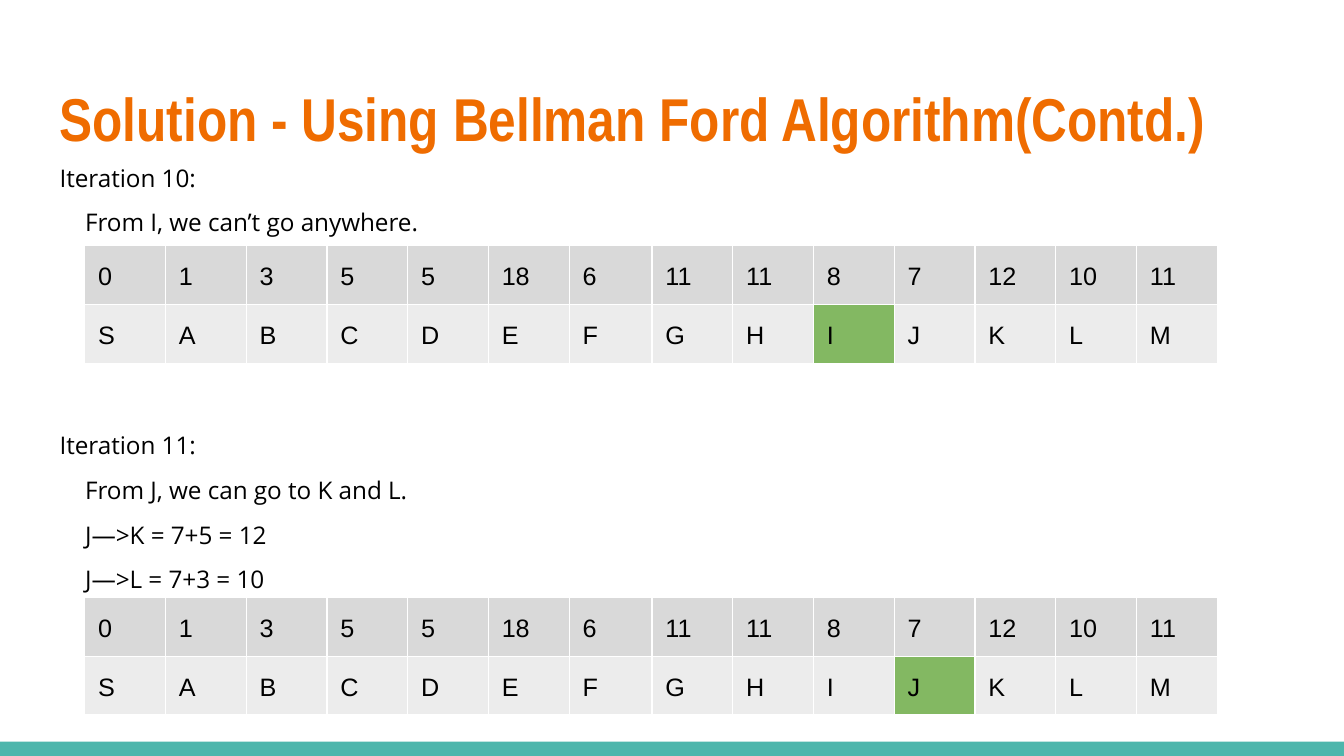
from dataclasses import dataclass
from typing import NamedTuple

from lxml import etree
from pptx import Presentation
from pptx.dml.color import RGBColor
from pptx.enum.shapes import MSO_SHAPE
from pptx.enum.text import MSO_ANCHOR
from pptx.oxml.ns import qn
from pptx.slide import Slide
from pptx.util import Emu, Inches, Pt

RECTANGLE = MSO_SHAPE.RECTANGLE
TOP = MSO_ANCHOR.TOP
MIDDLE = MSO_ANCHOR.MIDDLE

SLIDE_WIDTH = Inches(10)
SLIDE_HEIGHT = Emu(SLIDE_WIDTH * 9 // 16)
INSET = Inches(0.1)
CELL_BOTTOM_INSET = Inches(0.08)
INDENT = Inches(0.19)


@dataclass(frozen=True)
class Theme:
    title_font: str = "Arial Narrow"
    body_font: str = "Open Sans"
    table_font: str = "Arial"
    title_size: float = 32.4
    body_size: float = 13
    table_size: float = 13.5
    title_color: str = "EF6C00"
    text_color: str = "000000"
    band: str = "4DB6AC"
    distance_fill: str = "D9D9D9"
    vertex_fill: str = "ECECEC"
    current_fill: str = "83B862"
    border: str = "FFFFFF"


class Area(NamedTuple):
    """Percentages of the slide's width and height."""
    left: float
    top: float
    width: float
    height: float

    def lengths(self) -> tuple[Emu, ...]:
        sides = (SLIDE_WIDTH, SLIDE_HEIGHT) * 2
        return tuple(Emu(round(side * share / 100)) for side, share in zip(sides, self))


class Line(NamedTuple):
    text: str
    indented: bool = True
    space_before: float = 6


class DistanceTable(NamedTuple):
    top: float
    current: str


THEME = Theme()
TITLE_AREA = Area(3.45, 8.7, 93.2, 13.7)
BODY_AREA = Area(3.45, 19.2, 93.2, 75.9)
BAND_AREA = Area(0, 98.1, 100, 1.9)
TABLE_LEFT, TABLE_WIDTH, TABLE_HEIGHT = 6.3, 84.3, 15.47
COLUMN_SHARE = 6.01
WIDE_COLUMN, WIDE_COLUMN_SHARE = 6, 6.17

TITLE = [Line("Solution - Using Bellman Ford Algorithm(Contd.)", False, 0)]
STEPS = [
    Line("Iteration 10:", False, 0),
    Line("From I, we can’t go anywhere."),
    Line("Iteration 11:", False, 101.4),
    Line("From J, we can go to K and L."),
    Line("J—>K = 7+5 = 12"),
    Line("J—>L = 7+3 = 10"),
]
DISTANCES = "0 1 3 5 5 18 6 11 11 8 7 12 10 11".split()
VERTICES = list("SABCDEFGHIJKLM")
TABLES = [DistanceTable(32.45, "I"), DistanceTable(79, "J")]


def write_paragraph(para, text: str, *, font: str, size: float, color: str,
                    bold: bool = False, spacing: float = 1, before: float = 0) -> None:
    para.line_spacing = spacing
    para.space_before = Pt(before)
    span = para.add_run()
    span.text = text
    span.font.name = font
    span.font.size = Pt(size)
    span.font.bold = bold
    span.font.color.rgb = RGBColor.from_string(color)


def add_text(page: Slide, area: Area, lines: list[Line], anchor: MSO_ANCHOR, **style) -> None:
    frame = page.shapes.add_textbox(*area.lengths()).text_frame
    frame.word_wrap = True
    frame.vertical_anchor = anchor
    frame.margin_left = frame.margin_right = INSET
    frame.margin_top = frame.margin_bottom = INSET
    for index, line in enumerate(lines):
        para = frame.add_paragraph() if index else frame.paragraphs[0]
        if line.indented:
            properties = para._p.get_or_add_pPr()
            properties.set("marL", str(INDENT))
            properties.set("indent", "0")
        write_paragraph(para, line.text, before=line.space_before, **style)


def add_band(page: Slide, area: Area, color: str) -> None:
    band = page.shapes.add_shape(RECTANGLE, *area.lengths())
    band.shadow.inherit = False
    band.fill.solid()
    band.fill.fore_color.rgb = RGBColor.from_string(color)
    band.line.fill.background()


def set_borders(cell, color: str, width: float) -> None:
    properties = cell._tc.get_or_add_tcPr()
    for side in ("lnL", "lnR", "lnT", "lnB"):
        border = etree.SubElement(properties, qn(f"a:{side}"), w=str(Pt(width)))
        fill = etree.SubElement(border, qn("a:solidFill"))
        etree.SubElement(fill, qn("a:srgbClr"), val=color)


def fill_cell(cell, text: str, color: str) -> None:
    set_borders(cell, THEME.border, 0.75)
    cell.fill.solid()
    cell.fill.fore_color.rgb = RGBColor.from_string(color)
    cell.margin_left = cell.margin_right = cell.margin_top = INSET
    cell.margin_bottom = CELL_BOTTOM_INSET
    write_paragraph(cell.text_frame.paragraphs[0], text, font=THEME.table_font,
                    size=THEME.table_size, color=THEME.text_color, spacing=1.15)


def add_distances(page: Slide, item: DistanceTable) -> None:
    area = Area(TABLE_LEFT, item.top, TABLE_WIDTH, TABLE_HEIGHT)
    table = page.shapes.add_table(2, len(VERTICES), *area.lengths()).table
    table.first_row = table.horz_banding = False
    for index, (distance, vertex) in enumerate(zip(DISTANCES, VERTICES)):
        share = WIDE_COLUMN_SHARE if index == WIDE_COLUMN else COLUMN_SHARE
        table.columns[index].width = Emu(round(SLIDE_WIDTH * share / 100))
        fill_cell(table.cell(0, index), distance, THEME.distance_fill)
        vertex_fill = THEME.current_fill if vertex == item.current else THEME.vertex_fill
        fill_cell(table.cell(1, index), vertex, vertex_fill)


def main() -> None:
    deck = Presentation()
    deck.slide_width, deck.slide_height = SLIDE_WIDTH, SLIDE_HEIGHT
    page = deck.slides.add_slide(deck.slide_layouts[6])
    add_band(page, BAND_AREA, THEME.band)
    add_text(page, TITLE_AREA, TITLE, MIDDLE, font=THEME.title_font,
             size=THEME.title_size, color=THEME.title_color, bold=True)
    add_text(page, BODY_AREA, STEPS, TOP, font=THEME.body_font,
             size=THEME.body_size, color=THEME.text_color, spacing=1.15)
    for item in TABLES:
        add_distances(page, item)
    deck.save("out.pptx")


if __name__ == "__main__":
    main()
